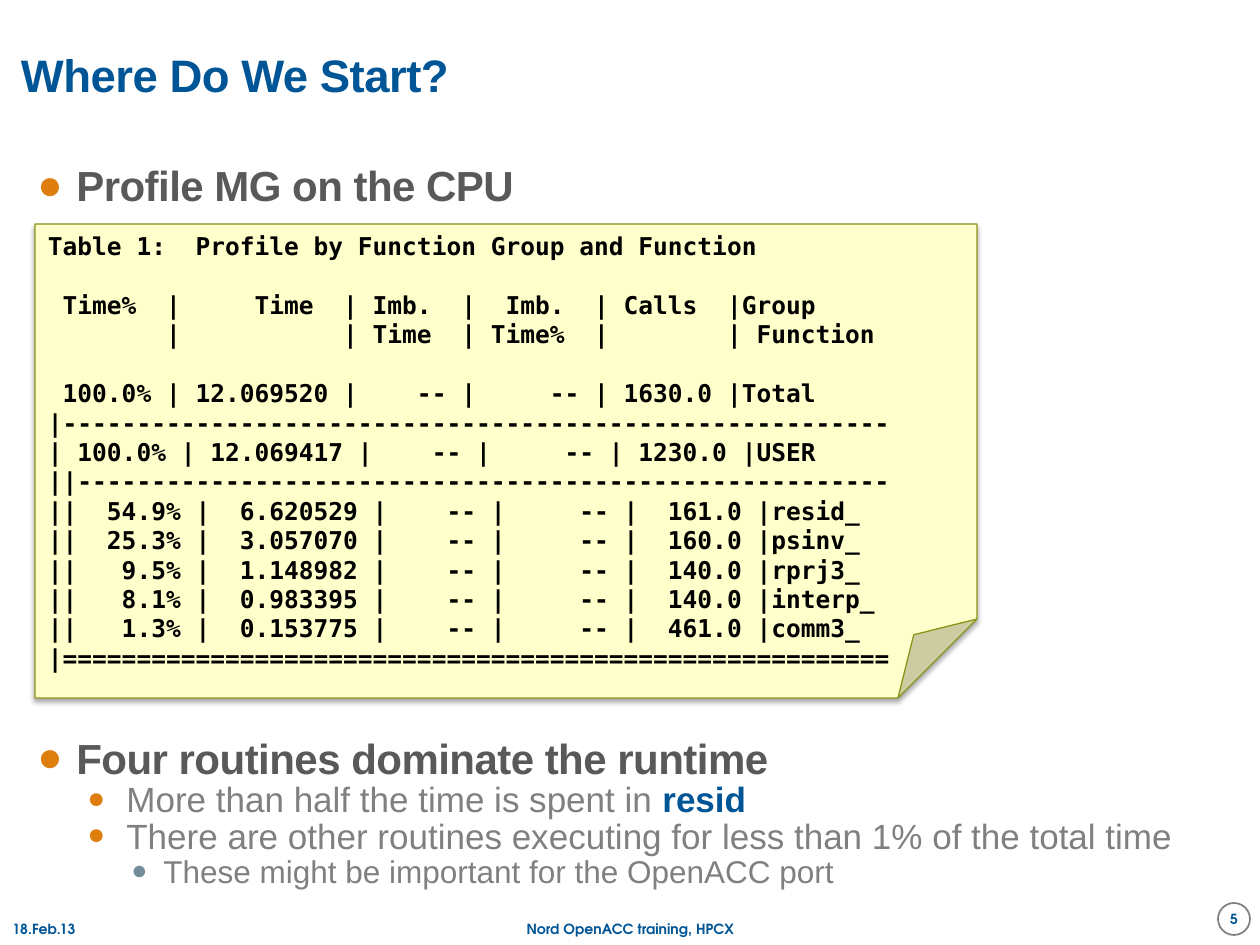
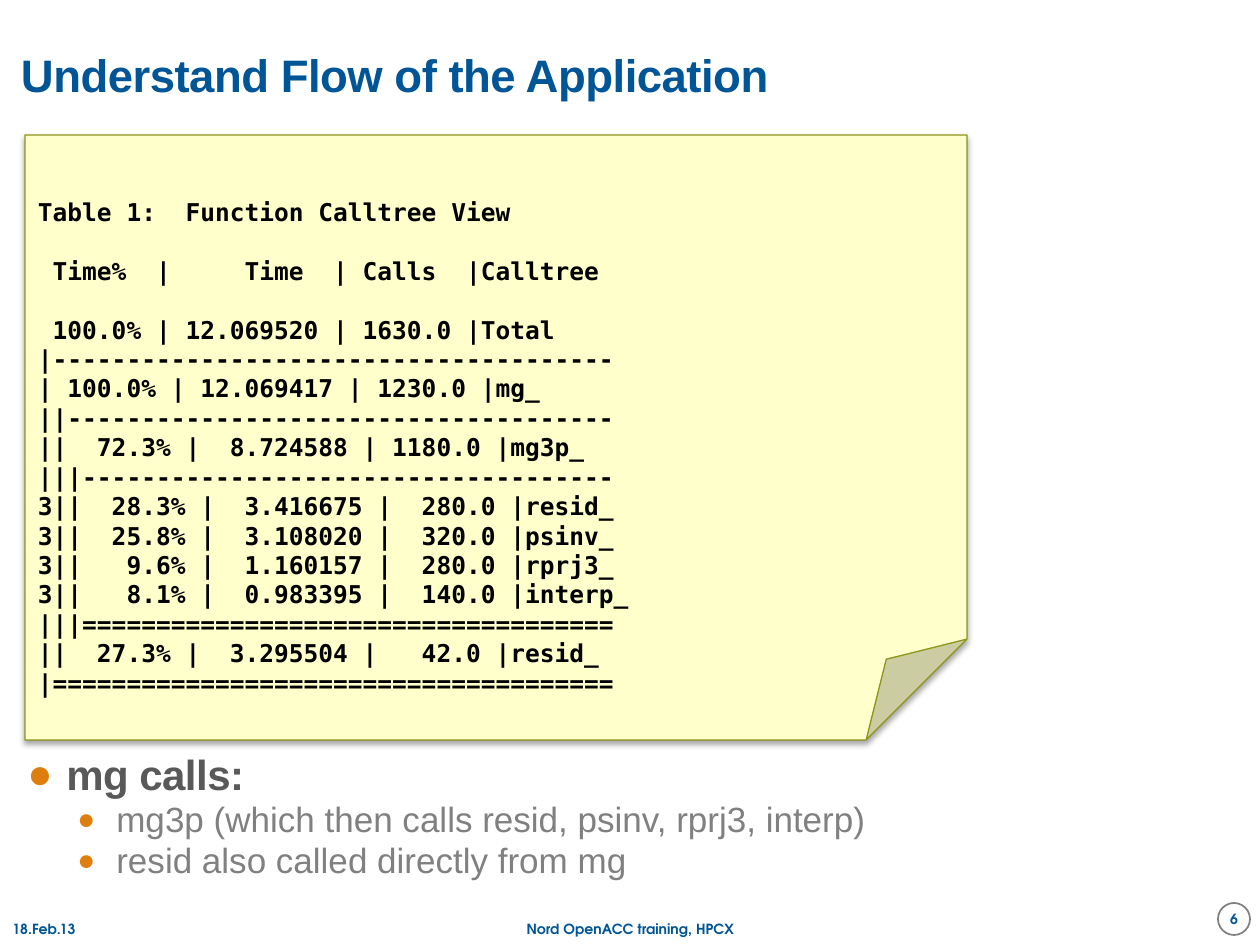
from lxml.etree import SubElement
from pptx import Presentation
from pptx.dml.color import RGBColor
from pptx.enum.shapes import MSO_SHAPE as Preset
from pptx.enum.text import MSO_ANCHOR as Anchor, PP_ALIGN as Align
from pptx.oxml.ns import qn
from pptx.util import Emu, Pt

SCALE = 914400 / 126
BLUE, ORANGE, SLATE = "005596", "DD7E0E", "728D9A"
DARK, GREY, BLACK, WHITE = "595959", "808080", "000000", "FFFFFF"
PAPER, PAPER_EDGE = "FFFFCC", "8C941A"
SANS, MONO, FOOTER_FONT = "Arial", "DejaVu Sans Mono", "TeX Gyre Adventor"
LISTING_GAP = 16.8
LEVELS = [
    dict(margin=39, hang=39, size=24, color=DARK, bold=True, spacing=-0.3, bullet=ORANGE, bullet_size=100),
    dict(margin=89, hang=39, size=20, color=GREY, bold=False, spacing=0, bullet=ORANGE, bullet_size=85),
    dict(margin=126, hang=32, size=18, color=GREY, bold=False, spacing=0, bullet=SLATE, bullet_size=85),
]


def px(length):
    return Emu(round(length * SCALE))


def rgb(code):
    return RGBColor.from_string(code)


def style(run, font, size, color, bold=True, spacing=0):
    run.font.name = font
    run.font.size = Pt(size)
    run.font.color.rgb = rgb(color)
    run.font.bold = bold
    if spacing:
        run.font._element.set("spc", str(round(spacing * 100)))


def set_frame(shape, anchor=Anchor.TOP, insets=None):
    frame = shape.text_frame
    frame.word_wrap = True
    frame.vertical_anchor = anchor
    if insets:
        (frame.margin_left, frame.margin_top,
         frame.margin_right, frame.margin_bottom) = map(px, insets)
    return frame


def add_text(slide, box, anchor=Anchor.TOP, insets=None):
    return set_frame(slide.shapes.add_textbox(*map(px, box)), anchor, insets)


def add_panel(slide, preset, box, fill, edge, width):
    panel = slide.shapes.add_shape(preset, *map(px, box))
    panel.shadow.inherit = False
    panel.fill.solid()
    panel.fill.fore_color.rgb = rgb(fill)
    panel.line.color.rgb = rgb(edge)
    panel.line.width = Pt(width)
    return panel


def add_label(frame, text, font, size, align=Align.LEFT, spacing=0):
    label = frame.paragraphs[0]
    label.text = text
    label.alignment = align
    style(label.runs[0], font, size, BLUE, spacing=spacing)
    return label


def add_title(slide, text):
    frame = add_text(slide, (21, 21, 1008, 116), Anchor.MIDDLE, (0, 0, 0, 0))
    add_label(frame, text, SANS, 26, spacing=-0.3).line_spacing = 0.85


def add_drop_shadow(panel):
    effects = panel._element.spPr.find(qn("a:effectLst"))
    shadow = SubElement(effects, qn("a:outerShdw"), blurRad=str(Pt(3.1)), dist=str(Pt(1.8)),
                        dir="5400000", rotWithShape="0")
    tint = SubElement(shadow, qn("a:srgbClr"), val=BLACK)
    SubElement(tint, qn("a:alpha"), val="35000")


def add_listing(slide, box, top_inset, blocks):
    note = add_panel(slide, Preset.FOLDED_CORNER, box, PAPER, PAPER_EDGE, 0.75)
    add_drop_shadow(note)
    frame = set_frame(note, insets=(13, top_inset, 13, 0))
    frame.text = "\n".join(row for block in blocks for row in block)
    rows = iter(frame.paragraphs)
    for index, block in enumerate(blocks):
        for offset in range(len(block)):
            row = next(rows)
            row.alignment = Align.LEFT
            row.space_before = Pt(LISTING_GAP if index and not offset else 0)
            style(row.runs[0], MONO, 14, BLACK)


def add_bullets(slide, box, line_spacing, items):
    frame = add_text(slide, box)
    for index, (level, text, emphasis) in enumerate(items):
        look = LEVELS[level]
        item = frame.add_paragraph() if index else frame.paragraphs[0]
        item.text = text
        item.level = level
        item.line_spacing = line_spacing
        item.space_before = item.space_after = Pt(1.5)
        style(item.runs[0], SANS, look["size"], look["color"], look["bold"], look["spacing"])
        if emphasis:
            strong = item.add_run()
            strong.text = emphasis
            style(strong, SANS, look["size"], BLUE)
        props = item._p.get_or_add_pPr()
        props.set("marL", str(px(look["margin"])))
        props.set("indent", str(-px(look["hang"])))
        SubElement(SubElement(props, qn("a:buClr")), qn("a:srgbClr"), val=look["bullet"])
        SubElement(props, qn("a:buSzPct"), val=str(look["bullet_size"] * 1000))
        SubElement(props, qn("a:buFont"), typeface=SANS)
        SubElement(props, qn("a:buChar"), char="●")


def add_footer(slide, number):
    badge = add_panel(slide, Preset.OVAL, (1218, 903, 32, 32), WHITE, GREY, 1)
    badge_frame = set_frame(badge, Anchor.MIDDLE, (0, 0, 0, 0))
    add_label(badge_frame, str(number), FOOTER_FONT, 8, Align.CENTER)
    for box, text, align in [
        ((0, 913, 294, 32), "18.Feb.13", Align.LEFT),
        ((431, 913, 399, 32), "Nord OpenACC training, HPCX", Align.CENTER),
    ]:
        add_label(add_text(slide, box, Anchor.MIDDLE), text, FOOTER_FONT, 8, align)


def add_page(deck, number, title, listing, bullet_groups):
    slide = deck.slides.add_slide(deck.slide_layouts[6])
    add_listing(slide, *listing)
    add_title(slide, title)
    for group in bullet_groups:
        add_bullets(slide, *group)
    add_footer(slide, number)


PROFILE = [
    ["Table 1:  Profile by Function Group and Function"],
    [" Time%  |     Time  | Imb.  |  Imb.  | Calls  |Group",
     "        |           | Time  | Time%  |        | Function"],
    [" 100.0% | 12.069520 |    -- |     -- | 1630.0 |Total",
     "|" + "-" * 56,
     "| 100.0% | 12.069417 |    -- |     -- | 1230.0 |USER",
     "||" + "-" * 55,
     *(f"||  {share:>5} |  {time} |    -- |     -- |  {calls} |{name}_"
       for share, time, calls, name in [
           ("54.9%", "6.620529", "161.0", "resid"),
           ("25.3%", "3.057070", "160.0", "psinv"),
           ("9.5%", "1.148982", "140.0", "rprj3"),
           ("8.1%", "0.983395", "140.0", "interp"),
           ("1.3%", "0.153775", "461.0", "comm3")]),
     "|" + "=" * 56],
]

CALLTREE = [
    ["Table 1:  Function Calltree View"],
    [" Time%  |     Time  | Calls  |Calltree"],
    [" 100.0% | 12.069520 | 1630.0 |Total",
     "|" + "-" * 38,
     "| 100.0% | 12.069417 | 1230.0 |mg_",
     "||" + "-" * 37,
     "||  72.3% |  8.724588 | 1180.0 |mg3p_",
     "|||" + "-" * 36,
     *(f"3||  {share:>5} |  {time} |  {calls} |{name}_"
       for share, time, calls, name in [
           ("28.3%", "3.416675", "280.0", "resid"),
           ("25.8%", "3.108020", "320.0", "psinv"),
           ("9.6%", "1.160157", "280.0", "rprj3"),
           ("8.1%", "0.983395", "140.0", "interp")]),
     "|||" + "=" * 36,
     "||  27.3% |  3.295504 |   42.0 |resid_",
     "|" + "=" * 38],
]

deck = Presentation()
deck.slide_width, deck.slide_height = px(1260), px(945)

add_page(deck, 5, "Where Do We Start?", ((35, 224, 942, 474), 7, PROFILE), [
    ((25, 738, 1207, 164), 0.75, [
        (0, "Four routines dominate the runtime", ""),
        (1, "More than half the time is spent in ", "resid"),
        (1, "There are other routines executing for less than 1% of the total time", ""),
        (2, "These might be important for the OpenACC port", ""),
    ]),
    ((25, 161, 1207, 55), 0.85, [(0, "Profile MG on the CPU", "")]),
])
add_page(deck, 6, "Understand Flow of the Application", ((25, 135, 942, 605), 62, CALLTREE), [
    ((15, 750, 1207, 159), 0.85, [
        (0, "mg calls:", ""),
        (1, "mg3p (which then calls resid, psinv, rprj3, interp)", ""),
        (1, "resid also called directly from mg", ""),
    ]),
])

deck.save("out.pptx")
